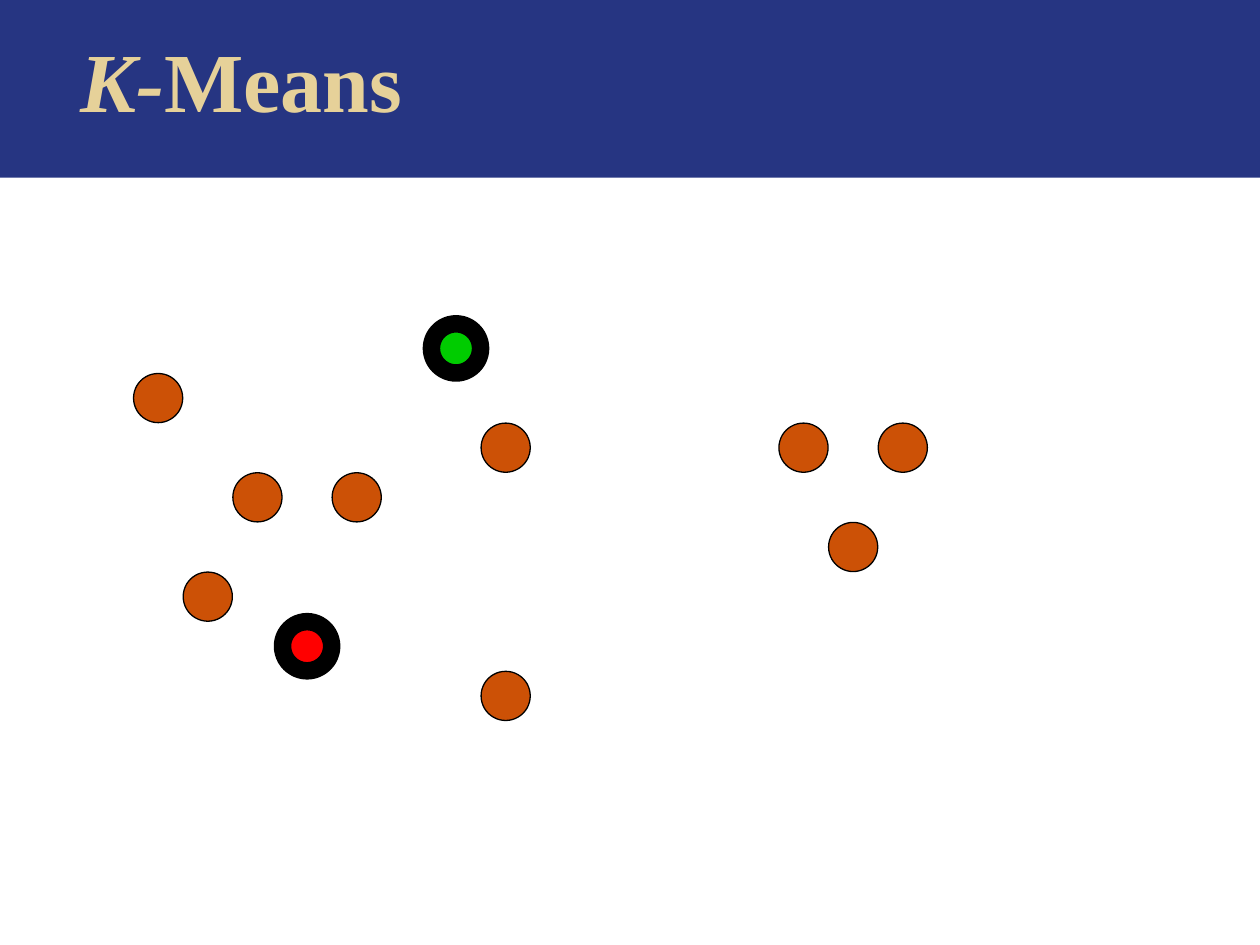
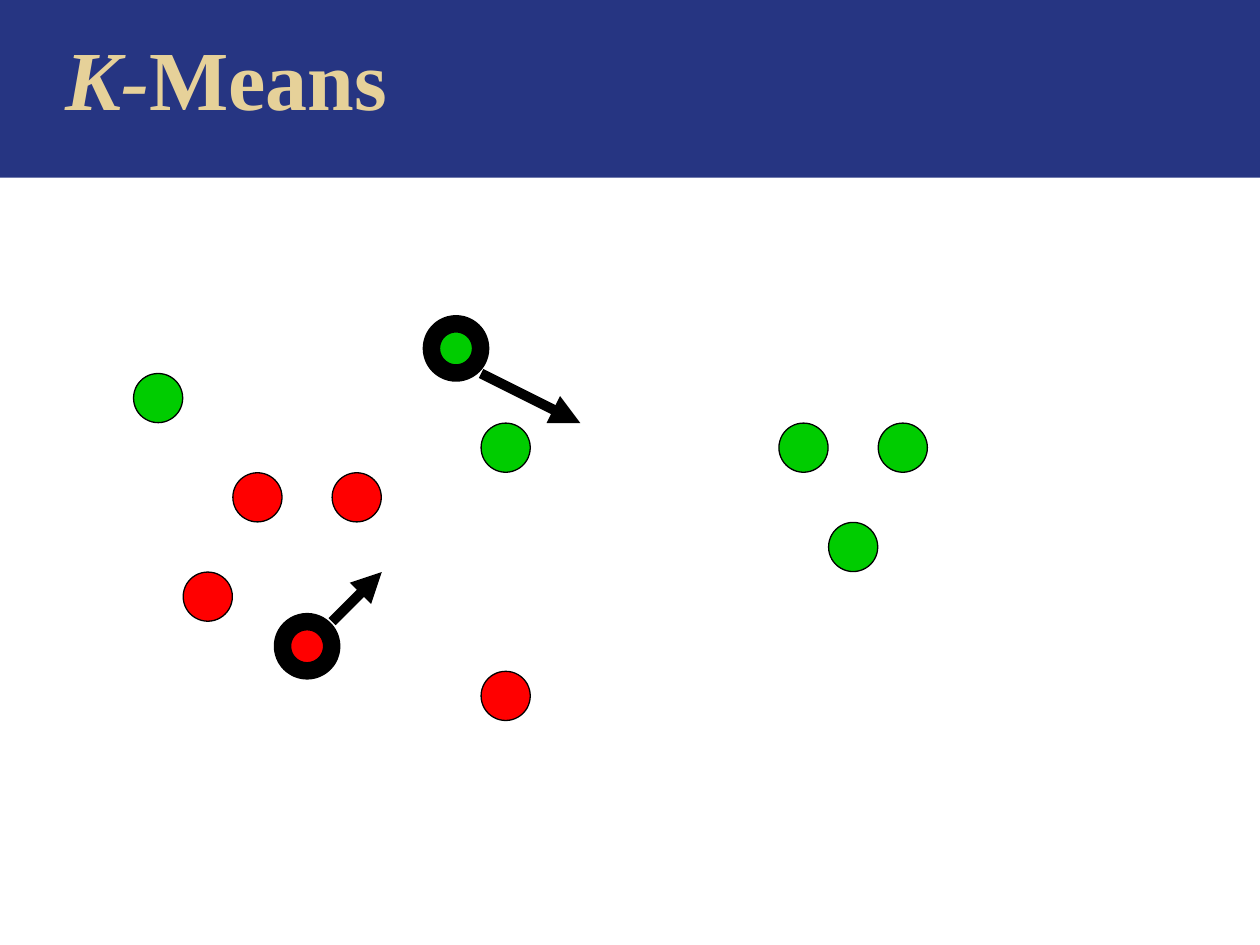
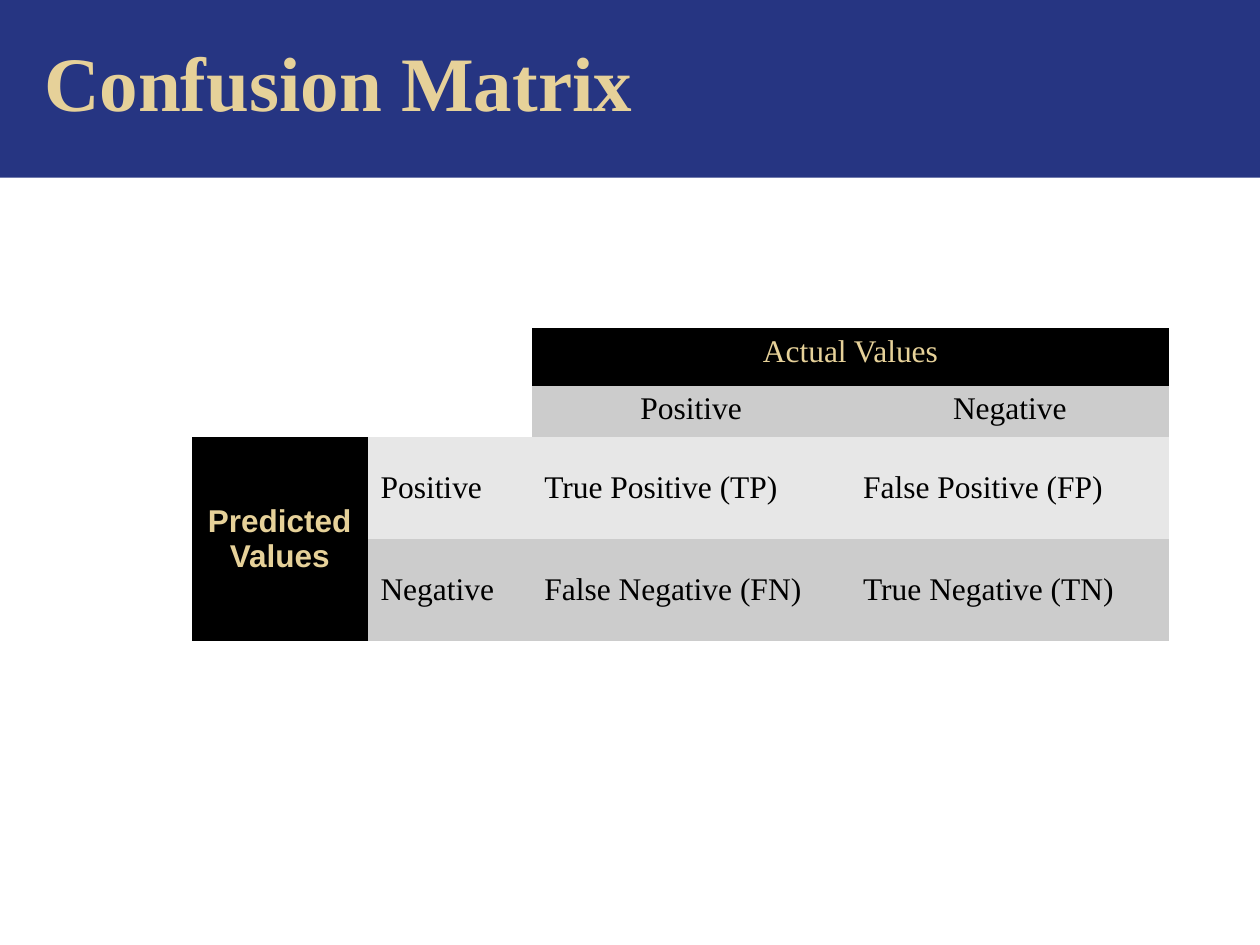
from lxml import etree
from pptx import Presentation
from pptx.dml.color import RGBColor
from pptx.enum.shapes import MSO_CONNECTOR, MSO_SHAPE
from pptx.enum.text import MSO_ANCHOR, MSO_AUTO_SIZE, PP_ALIGN
from pptx.oxml.ns import qn
from pptx.util import Inches, Pt

ELLIPSE, RECTANGLE = MSO_SHAPE.OVAL, MSO_SHAPE.RECTANGLE
STRAIGHT = MSO_CONNECTOR.STRAIGHT
LEFT, CENTER = PP_ALIGN.LEFT, PP_ALIGN.CENTER
TOP, MIDDLE = MSO_ANCHOR.TOP, MSO_ANCHOR.MIDDLE

NAVY, SAND, BLACK = "263582", "E6D199", "000000"
ORANGE, RED, GREEN = "CC5106", "FF0000", "00CC00"
GRAY, PALE = "CCCCCC", "E7E7E7"
SERIF, SANS = "Times New Roman", "Arial"
NO_STYLE_NO_GRID = "{2D5ABB26-0587-4C30-8999-92F81FD0307C}"

# The dots sit on a square grid: (column, row) counted from the grid origin.
GRID_LEFT, GRID_TOP, STEP, DOT = 1.06, 2.57, 0.394, 0.39
GREEN_POINTS = [(0, 1), (7, 2), (13, 2), (15, 2), (14, 4)]
RED_POINTS = [(1, 5), (7, 7), (4, 3), (2, 3)]
CENTROIDS = [((3, 6), RED), ((6, 0), GREEN)]
MOVES = [((7, 1), (9, 2)), ((4, 6), (5, 5))]


def color(hex_string):
    return RGBColor.from_string(hex_string)


def grid_point(column, row):
    return Inches(GRID_LEFT + column * STEP), Inches(GRID_TOP + row * STEP)


deck = Presentation()
deck.slide_width, deck.slide_height = Inches(10), Inches(7.5)
title_only = deck.slide_layouts[5]

# Titles
pages = []
for title_left, title_top, size, spans in [
    (0.37, 0.37, 48, [(" ", False), ("K-", True), ("Means", False)]),
    (0.25, 0.35, 48, [(" ", False), ("K-", True), ("Means", False)]),
    (0.25, 0.35, 44, [("Confusion Matrix", False)]),
]:
    page = deck.slides.add_slide(title_only)
    pages.append(page)
    title = page.shapes.title
    title.left, title.top = Inches(title_left), Inches(title_top)
    title.width, title.height = Inches(8.7), Inches(0.73)
    title.text_frame.auto_size = MSO_AUTO_SIZE.NONE
    title.text_frame.vertical_anchor = MIDDLE
    para = title.text_frame.paragraphs[0]
    para.alignment = LEFT
    para.line_spacing = Pt(42)
    para.font.name, para.font.size, para.font.bold = SERIF, Pt(size), True
    para.font.color.rgb = color(SAND)
    for text, italic in spans:
        span = para.add_run()
        span.text = text
        span.font.italic = italic

# Title band, moved to the master so that every slide shows it
band = pages[0].shapes.add_shape(RECTANGLE, 0, 0, Inches(10), Inches(1.41))
band.shadow.inherit = False
band.fill.solid()
band.fill.fore_color.rgb = color(NAVY)
band.line.fill.background()
deck.slide_master.shapes._spTree.insert(2, band._element)

# K-Means: unassigned points, then points coloured by nearest centroid
for page, green_fill, red_fill in [(pages[0], ORANGE, ORANGE), (pages[1], GREEN, RED)]:
    dots = [(point, green_fill, 0.75) for point in GREEN_POINTS]
    dots += [(point, red_fill, 0.75) for point in RED_POINTS]
    dots += [(point, fill, 10) for point, fill in CENTROIDS]
    for point, fill, outline in dots:
        dot = page.shapes.add_shape(ELLIPSE, *grid_point(*point), Inches(DOT), Inches(DOT))
        dot.shadow.inherit = False
        dot.fill.solid()
        dot.fill.fore_color.rgb = color(fill)
        dot.line.color.rgb = color(BLACK)
        dot.line.width = Pt(outline)

# Centroid moves
for start, end in MOVES:
    arrow = pages[1].shapes.add_connector(STRAIGHT, *grid_point(*start), *grid_point(*end))
    arrow.line.color.rgb = color(BLACK)
    arrow.line.width = Pt(5.75)
    etree.SubElement(arrow.line._get_or_add_ln(), qn("a:tailEnd"), type="triangle")
    etree.SubElement(arrow._element.spPr, qn("a:effectLst"))

# Confusion matrix
frame = pages[2].shapes.add_table(4, 4, Inches(1.52), Inches(2.6), Inches(7.76), Inches(2.49))
table = frame.table
table.first_row = table.horz_banding = False
table._tbl.tblPr.find(qn("a:tableStyleId")).text = NO_STYLE_NO_GRID
for column, width in zip(table.columns, [1.4, 1.3, 2.53, 2.53]):
    column.width = Inches(width)
for row, height in zip(table.rows, [0.46, 0.41, 0.81, 0.81]):
    row.height = Inches(height)
table.cell(0, 2).merge(table.cell(0, 3))
table.cell(2, 0).merge(table.cell(3, 0))

matrix = [
    ["", "", "Actual Values", ""],
    ["", "", "Positive", "Negative"],
    ["Predicted Values", "Positive", "True Positive (TP)", "False Positive (FP)"],
    ["", "Negative", "False Negative (FN)", "True Negative (TN)"],
]
row_fills = [BLACK, GRAY, PALE, GRAY]
for row, texts in enumerate(matrix):
    for column, text in enumerate(texts):
        if not text:
            continue
        cell = table.cell(row, column)
        side_header = column == 0
        heading = side_header or row == 0
        cell.fill.solid()
        cell.fill.fore_color.rgb = color(BLACK if heading else row_fills[row])
        cell.vertical_anchor = TOP if row < 2 else MIDDLE
        cell.text = text
        para = cell.text_frame.paragraphs[0]
        para.alignment = CENTER if heading or row == 1 else LEFT
        para.font.name = SANS if side_header else SERIF
        para.font.size, para.font.bold = Pt(18), side_header
        para.font.color.rgb = color(SAND if heading else BLACK)

deck.save("out.pptx")
